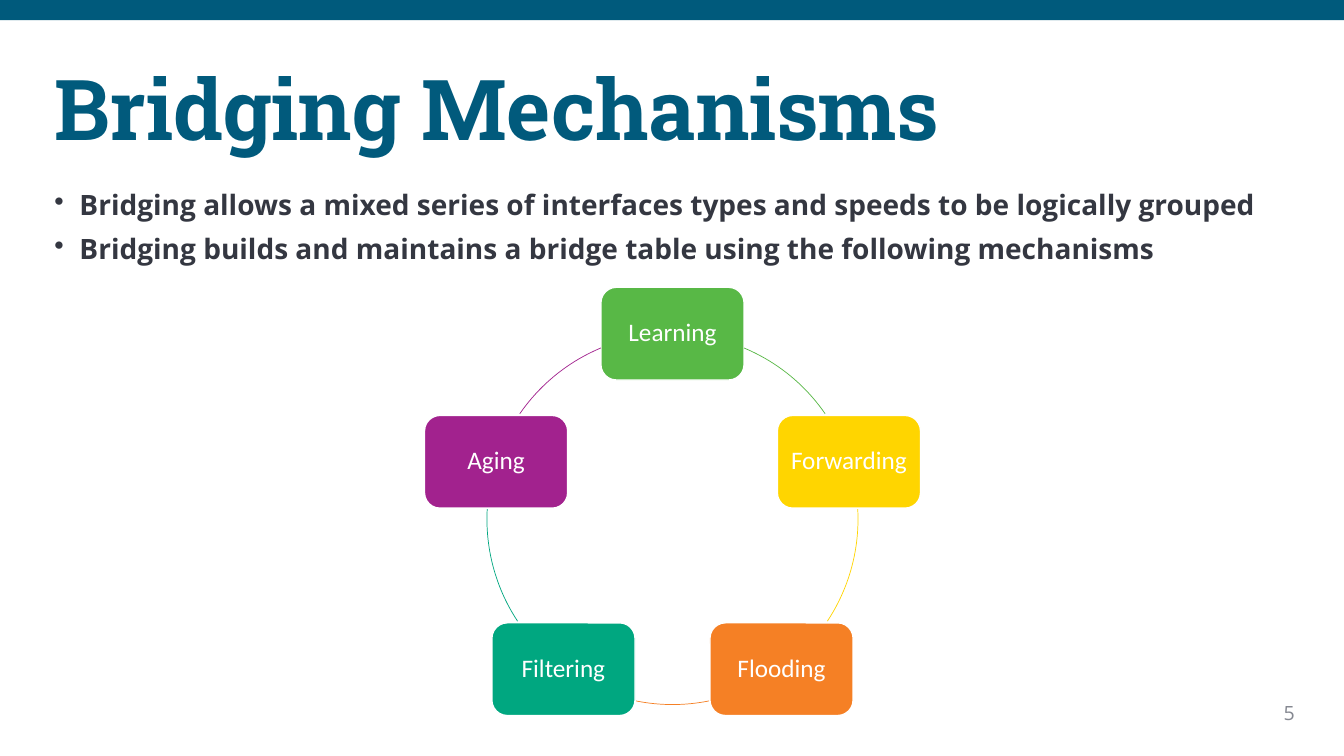
"""Build the slide on bridging mechanisms with its five-step ring."""
from dataclasses import dataclass
from math import cos, radians, sin

from lxml.etree import SubElement
from pptx import Presentation
from pptx.dml.color import RGBColor as Rgb
from pptx.enum.shapes import MSO_SHAPE as Kind
from pptx.enum.text import MSO_ANCHOR as Anchor, PP_ALIGN as Align
from pptx.oxml.ns import qn
from pptx.shapes.autoshape import Shape
from pptx.slide import Slide
from pptx.util import Inches, Pt

HUES = {
    "bar": "005A7C", "title": "015A7C", "body": "343741", "page": "858891",
    "white": "FFFFFF", "green": "58B846", "yellow": "FFD500",
    "orange": "F58025", "teal": "00A780", "purple": "A2228E",
}
MID_X, MID_Y, RADIUS = 6.67, 5.15, 1.84
STEP_W, STEP_H = 1.42, 0.92


@dataclass(frozen=True)
class Step:
    name: str
    hue: str
    start: float
    end: float


@dataclass(frozen=True)
class Block:
    lines: tuple[str, ...]
    left: float
    top: float
    width: float
    height: float
    font: str
    size: int
    hue: str
    bold: bool = False
    align: Align = Align.LEFT
    anchor: Anchor = Anchor.TOP
    space: float = 0.9
    bullet: bool = False


STEPS = (
    Step("Learning", "green", 292.7, 325.4),
    Step("Forwarding", "yellow", 356.9, 33.4),
    Step("Flooding", "orange", 78.7, 101.3),
    Step("Filtering", "teal", 146.6, 183.1),
    Step("Aging", "purple", 214.6, 247.3),
)
BLOCKS = (
    Block(("5",), 12.3, 6.9, 0.64, 0.34, "Open Sans", 14, "page",
          align=Align.RIGHT, space=1.0),
    Block(("Bridging Mechanisms",), 0.44, 0.4, 12.73, 1.45, "Roboto Slab", 60,
          "title", bold=True, anchor=Anchor.MIDDLE),
    Block(("Bridging allows a mixed series of interfaces types and speeds to be logically grouped",
           "Bridging builds and maintains a bridge table using the following mechanisms"),
          0.44, 1.85, 12.36, 1.19, "Open Sans", 20, "body", bold=True, bullet=True),
)


def tint(hue: str) -> Rgb:
    return Rgb.from_string(HUES[hue])


def style(shape: Shape, font: str, size: int, hue: str, bold: bool,
          align: Align, space: float) -> None:
    for par in shape.text_frame.paragraphs:
        par.alignment = align
        par.line_spacing = space
        for run in par.runs:
            run.font.name = font
            run.font.size = Pt(size)
            run.font.bold = bold
            run.font.color.rgb = tint(hue)


def add_block(slide: Slide, block: Block) -> None:
    box = slide.shapes.add_textbox(Inches(block.left), Inches(block.top),
                                   Inches(block.width), Inches(block.height))
    frame = box.text_frame
    frame.word_wrap = True
    frame.vertical_anchor = block.anchor
    frame.text = "\n".join(block.lines)
    if block.bullet:
        for par in frame.paragraphs:
            props = par._p.get_or_add_pPr()
            props.set("marL", str(Inches(0.25)))
            props.set("indent", str(Inches(-0.25)))
            SubElement(props, qn("a:buChar")).set("char", "•")
        for par in frame.paragraphs[1:]:
            par.space_before = Pt(10)
    style(box, block.font, block.size, block.hue, block.bold, block.align, block.space)


def add_bar(slide: Slide) -> None:
    bar = slide.shapes.add_shape(Kind.RECTANGLE, 0, 0, Inches(13.33), Inches(0.2))
    bar.shadow.inherit = False
    bar.fill.solid()
    bar.fill.fore_color.rgb = tint("bar")
    bar.line.fill.background()


def add_step(slide: Slide, step: Step, angle: float) -> None:
    left = MID_X + RADIUS * cos(radians(angle)) - STEP_W / 2
    top = MID_Y + RADIUS * sin(radians(angle)) - STEP_H / 2
    card = slide.shapes.add_shape(Kind.ROUNDED_RECTANGLE, Inches(left), Inches(top),
                                  Inches(STEP_W), Inches(STEP_H))
    card.shadow.inherit = False
    card.fill.solid()
    card.fill.fore_color.rgb = tint(step.hue)
    card.line.color.rgb = tint("white")
    card.line.width = Pt(1)
    frame = card.text_frame
    frame.word_wrap = True
    frame.vertical_anchor = Anchor.MIDDLE
    frame.margin_left = frame.margin_right = Inches(0.07)
    frame.margin_top = frame.margin_bottom = Inches(0.07)
    frame.text = step.name
    style(card, "Calibri", 18, "white", False, Align.CENTER, 0.9)


def add_arc(slide: Slide, step: Step) -> None:
    arc = slide.shapes.add_shape(Kind.ARC, Inches(MID_X - RADIUS), Inches(MID_Y - RADIUS),
                                 Inches(2 * RADIUS), Inches(2 * RADIUS))
    arc.shadow.inherit = False
    arc.adjustments[0] = step.start * 0.6
    arc.adjustments[1] = step.end * 0.6
    arc.fill.background()
    arc.line.color.rgb = tint(step.hue)
    arc.line.width = Pt(0.5)


def main() -> None:
    deck = Presentation()
    deck.slide_width, deck.slide_height = Inches(13.33), Inches(7.5)
    slide = deck.slides.add_slide(deck.slide_layouts[6])
    add_bar(slide)
    for block in BLOCKS:
        add_block(slide, block)
    for rank, step in enumerate(STEPS):
        add_step(slide, step, rank * 360 / len(STEPS) - 90)
        add_arc(slide, step)
    deck.save("out.pptx")


if __name__ == "__main__":
    main()
